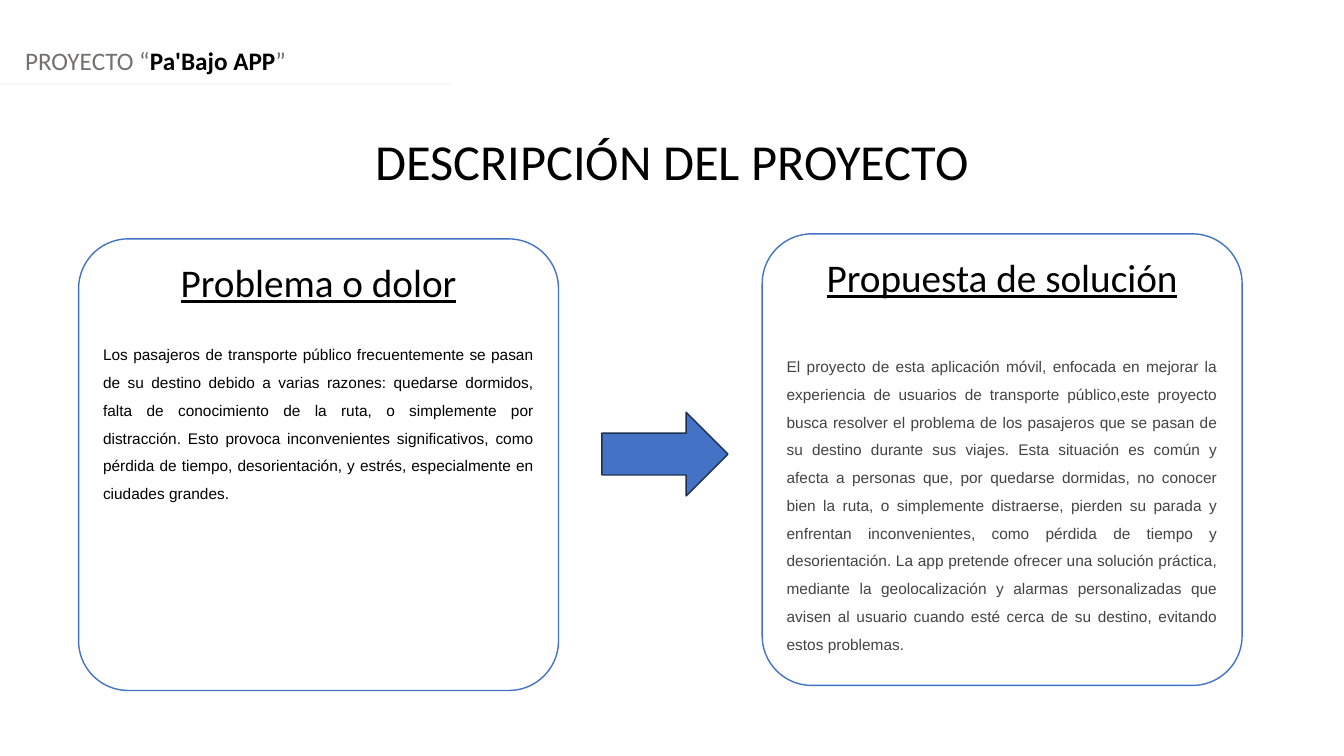
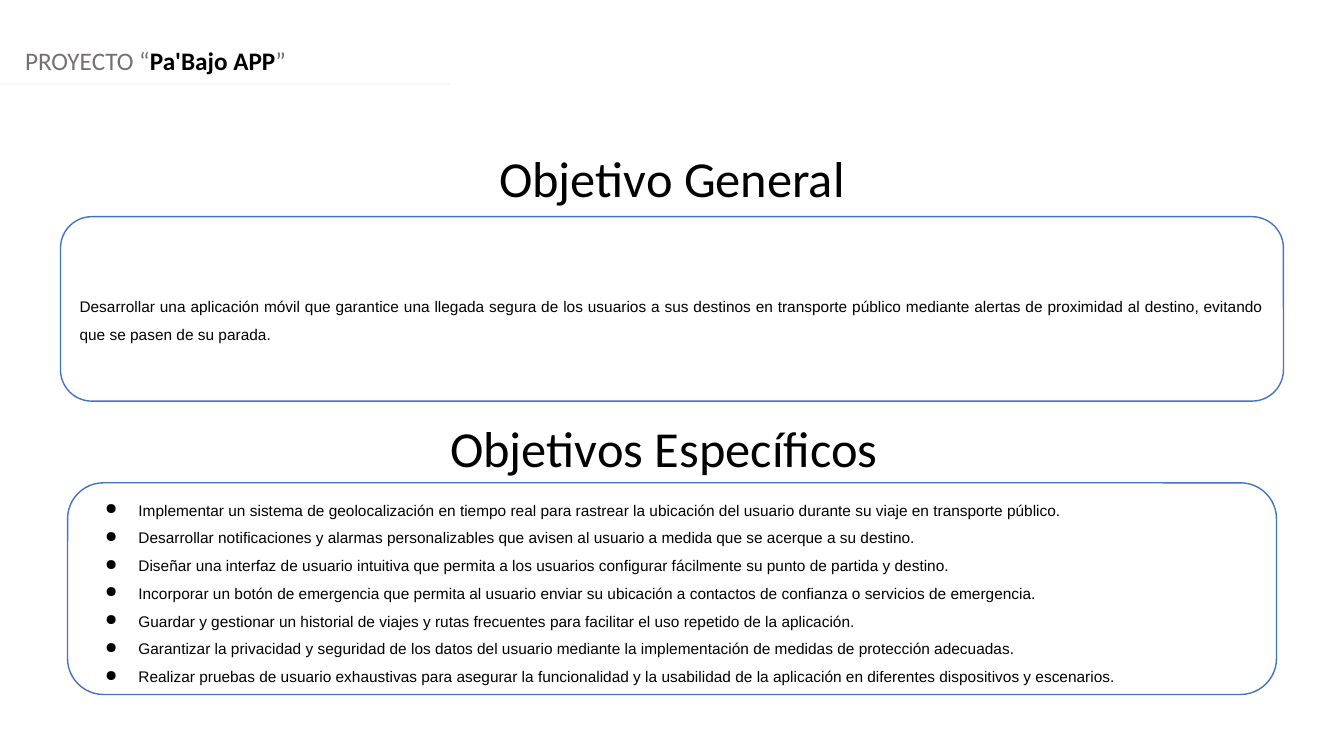
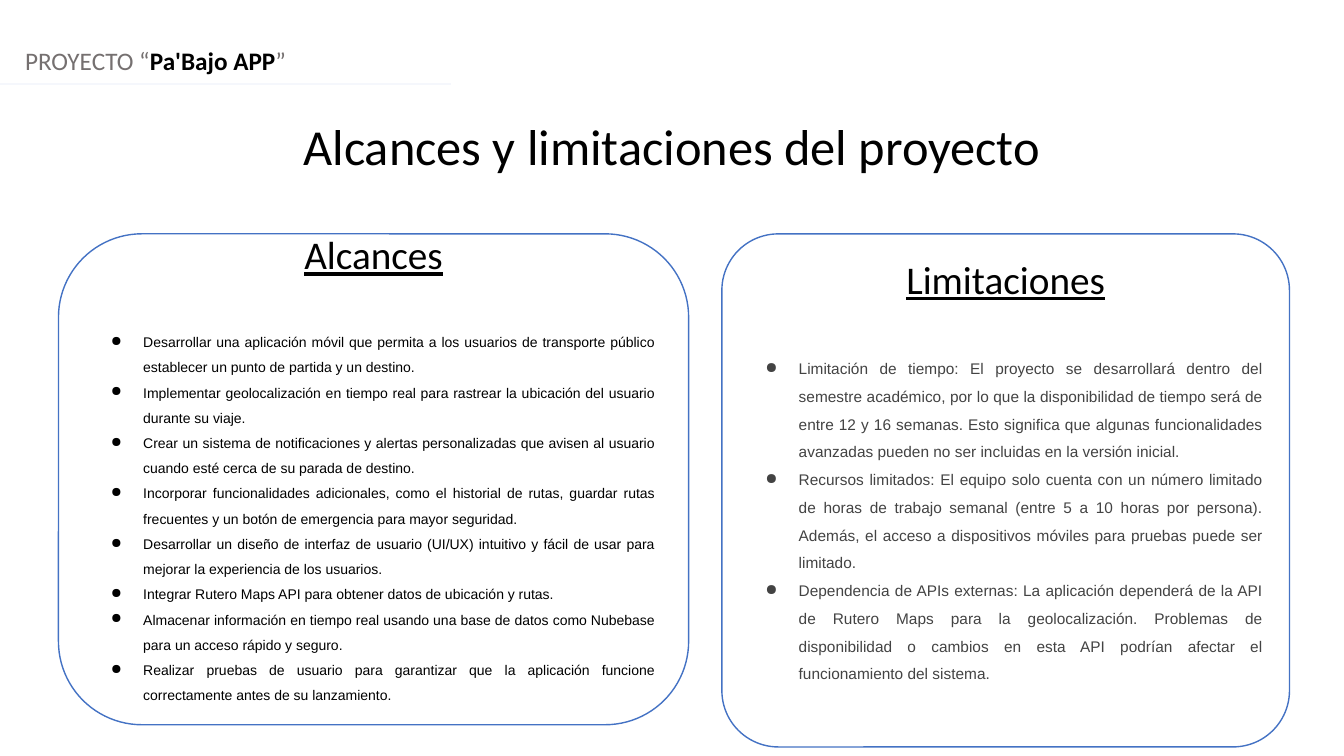
from pptx import Presentation
from pptx.dml.color import RGBColor
from pptx.enum.shapes import MSO_CONNECTOR, MSO_SHAPE
from pptx.enum.text import MSO_ANCHOR, MSO_AUTO_SIZE, PP_ALIGN
from pptx.oxml.ns import qn
from pptx.util import Inches, Pt
from lxml import etree

ROUNDED, ARROW = MSO_SHAPE.ROUNDED_RECTANGLE, MSO_SHAPE.RIGHT_ARROW
STRAIGHT = MSO_CONNECTOR.STRAIGHT
TOP, MIDDLE = MSO_ANCHOR.TOP, MSO_ANCHOR.MIDDLE
LEFT, CENTER, JUSTIFY = PP_ALIGN.LEFT, PP_ALIGN.CENTER, PP_ALIGN.JUSTIFY
GROW = MSO_AUTO_SIZE.SHAPE_TO_FIT_TEXT

WIDTH, HEIGHT = 13.33, 7.5
BLACK, WHITE, GREY, CHARCOAL = "000000", "FFFFFF", "757070", "434343"
BLUE, NAVY, PALE = "4472C4", "1C3052", "F5F7FC"

BRAND = {"name": "Calibri", "size": Pt(18)}
TITLE = {"name": "Calibri", "size": Pt(36)}
HEADING = {"name": "Calibri", "size": Pt(28), "underline": True}
BODY = {"name": "Arial", "size": Pt(11)}
SMALL = {"name": "Arial", "size": Pt(10)}

PROBLEM = "Los pasajeros de transporte público frecuentemente se pasan de su destino debido a varias razones: quedarse dormidos, falta de conocimiento de la ruta, o simplemente por distracción. Esto provoca inconvenientes significativos, como pérdida de tiempo, desorientación, y estrés, especialmente en ciudades grandes."
SOLUTION = "El proyecto de esta aplicación móvil, enfocada en mejorar la experiencia de usuarios de transporte público,este proyecto busca resolver el problema de los pasajeros que se pasan de su destino durante sus viajes. Esta situación es común y afecta a personas que, por quedarse dormidas, no conocer bien la ruta, o simplemente distraerse, pierden su parada y enfrentan inconvenientes, como pérdida de tiempo y desorientación. La app pretende ofrecer una solución práctica, mediante la geolocalización y alarmas personalizadas que avisen al usuario cuando esté cerca de su destino, evitando estos problemas."
GENERAL_GOAL = "Desarrollar una aplicación móvil que garantice una llegada segura de los usuarios a sus destinos en transporte público mediante alertas de proximidad al destino, evitando que se pasen de su parada."
SPECIFIC_GOALS = [
    "Implementar un sistema de geolocalización en tiempo real para rastrear la ubicación del usuario durante su viaje en transporte público.",
    "Desarrollar notificaciones y alarmas personalizables que avisen al usuario a medida que se acerque a su destino.",
    "Diseñar una interfaz de usuario intuitiva que permita a los usuarios configurar fácilmente su punto de partida y destino.",
    "Incorporar un botón de emergencia que permita al usuario enviar su ubicación a contactos de confianza o servicios de emergencia.",
    "Guardar y gestionar un historial de viajes y rutas frecuentes para facilitar el uso repetido de la aplicación.",
    "Garantizar la privacidad y seguridad de los datos del usuario mediante la implementación de medidas de protección adecuadas.",
    "Realizar pruebas de usuario exhaustivas para asegurar la funcionalidad y la usabilidad de la aplicación en diferentes dispositivos y escenarios.",
]
SCOPE = [
    "Desarrollar una aplicación móvil que permita a los usuarios de transporte público establecer un punto de partida y un destino.",
    "Implementar geolocalización en tiempo real para rastrear la ubicación del usuario durante su viaje.",
    "Crear un sistema de notificaciones y alertas personalizadas que avisen al usuario cuando esté cerca de su parada de destino.",
    "Incorporar funcionalidades adicionales, como el historial de rutas, guardar rutas frecuentes y un botón de emergencia para mayor seguridad.",
    "Desarrollar un diseño de interfaz de usuario (UI/UX) intuitivo y fácil de usar para mejorar la experiencia de los usuarios.",
    "Integrar Rutero Maps API para obtener datos de ubicación y rutas.",
    "Almacenar información en tiempo real usando una base de datos como Nubebase para un acceso rápido y seguro.",
    "Realizar pruebas de usuario para garantizar que la aplicación funcione correctamente antes de su lanzamiento.",
]
LIMITS = [
    "Limitación de tiempo: El proyecto se desarrollará dentro del semestre académico, por lo que la disponibilidad de tiempo será de entre 12 y 16 semanas. Esto significa que algunas funcionalidades avanzadas pueden no ser incluidas en la versión inicial.",
    "Recursos limitados: El equipo solo cuenta con un número limitado de horas de trabajo semanal (entre 5 a 10 horas por persona). Además, el acceso a dispositivos móviles para pruebas puede ser limitado.",
    "Dependencia de APIs externas: La aplicación dependerá de la API de Rutero Maps para la geolocalización. Problemas de disponibilidad o cambios en esta API podrían afectar el funcionamiento del sistema.",
]


def rgb(value):
    return RGBColor.from_string(value)


class ProjectDeck:
    """Builds the project slides with one shared style."""

    def __init__(self):
        self.deck = Presentation()
        self.deck.slide_width = Inches(WIDTH)
        self.deck.slide_height = Inches(HEIGHT)
        self.page = None

    def new_page(self):
        self.page = self.deck.slides.add_slide(self.deck.slide_layouts[6])
        self.text_box(0.15, 0.4, 0.4, LEFT, BRAND, [
            ("PROYECTO “", GREY, False),
            ("Pa'Bajo APP", BLACK, True),
            ("”", GREY, False),
        ])
        rule = self.page.shapes.add_connector(
            STRAIGHT, 0, Inches(0.83), Inches(4.47), Inches(0.83))
        rule.line.color.rgb = rgb(PALE)
        rule.line.width = Pt(1.25)
        etree.SubElement(rule._element.spPr, qn("a:effectLst"))

    def span(self, para, text, style, color=BLACK, bold=False):
        span = para.add_run()
        span.text = text
        for name, value in {**style, "bold": bold}.items():
            setattr(span.font, name, value)
        span.font.color.rgb = rgb(color)

    def text_box(self, left, top, height, align, style, spans):
        box = self.page.shapes.add_textbox(
            Inches(left), Inches(top), Inches(WIDTH), Inches(height))
        frame = box.text_frame
        frame.word_wrap = True
        frame.auto_size = GROW
        para = frame.paragraphs[0]
        para.alignment = align
        for text, color, bold in spans:
            self.span(para, text, style, color, bold)

    def title(self, text, top, left=0):
        self.text_box(left, top, 0.71, CENTER, TITLE, [(text, BLACK, False)])

    def shape(self, kind, at, fill, line):
        shape = self.page.shapes.add_shape(kind, *map(Inches, at))
        shape.shadow.inherit = False
        shape.fill.solid()
        shape.fill.fore_color.rgb = rgb(fill)
        shape.line.color.rgb = rgb(line)
        shape.line.width = Pt(1)
        return shape

    def arrow(self, at):
        self.shape(ARROW, at, BLUE, NAVY)

    def bullet(self, para, color, hang):
        props = para._p.get_or_add_pPr()
        props.set("marL", str(Inches(0.5)))
        props.set("indent", str(-Inches(hang)))
        tint = etree.SubElement(props, qn("a:buClr"))
        etree.SubElement(tint, qn("a:srgbClr"), val=color)
        etree.SubElement(props, qn("a:buChar"), char="●")

    def card(self, at, texts, heading=None, gap=0, corner=0.11, style=BODY,
             color=BLACK, hang=None, anchor=TOP, inset_top=0.05, inset_bottom=0.05):
        card = self.shape(ROUNDED, at, WHITE, BLUE)
        card.adjustments[0] = corner
        frame = card.text_frame
        layout = {"word_wrap": True, "vertical_anchor": anchor,
                  "margin_top": Inches(inset_top), "margin_bottom": Inches(inset_bottom)}
        for name, value in layout.items():
            setattr(frame, name, value)
        para = frame.paragraphs[0]
        if heading:
            para.alignment = CENTER
            para.space_after = Pt(gap)
            self.span(para, heading, HEADING)
        for index, text in enumerate(texts):
            if index or heading:
                para = frame.add_paragraph()
            para.alignment = JUSTIFY
            para.line_spacing = 1.5
            if hang:
                self.bullet(para, color, hang)
            self.span(para, text, style, color)


def main():
    project = ProjectDeck()

    project.new_page()
    project.title("DESCRIPCIÓN DEL PROYECTO", 1.24)
    project.card((0.78, 2.37, 4.76, 4.48), [PROBLEM], "Problema o dolor", 22)
    project.card((7.56, 2.32, 4.76, 4.48), [SOLUTION], "Propuesta de solución", 34,
                 color=CHARCOAL)
    project.arrow((5.97, 4.09, 1.25, 0.83))

    project.new_page()
    project.title("Objetivo General", 1.41)
    project.title("Objetivos Específicos", 4.09, -0.08)
    project.card((0.6, 2.15, 12.13, 1.83), [GENERAL_GOAL], corner=0.17,
                 anchor=MIDDLE, inset_top=0.18)
    project.card((0.67, 4.79, 11.99, 2.1), SPECIFIC_GOALS, corner=0.17,
                 anchor=MIDDLE, hang=0.33)

    project.new_page()
    project.title("Alcances y limitaciones del proyecto", 1.09)
    project.card((0.58, 2.32, 6.25, 4.87), SCOPE, "Alcances", 34, corner=0.17,
                 style=SMALL, hang=0.32, anchor=MIDDLE, inset_bottom=0.29)
    project.card((7.16, 2.32, 5.63, 5.09), LIMITS, "Limitaciones", 34,
                 color=CHARCOAL, hang=0.33)

    project.deck.save("out.pptx")


if __name__ == "__main__":
    main()
